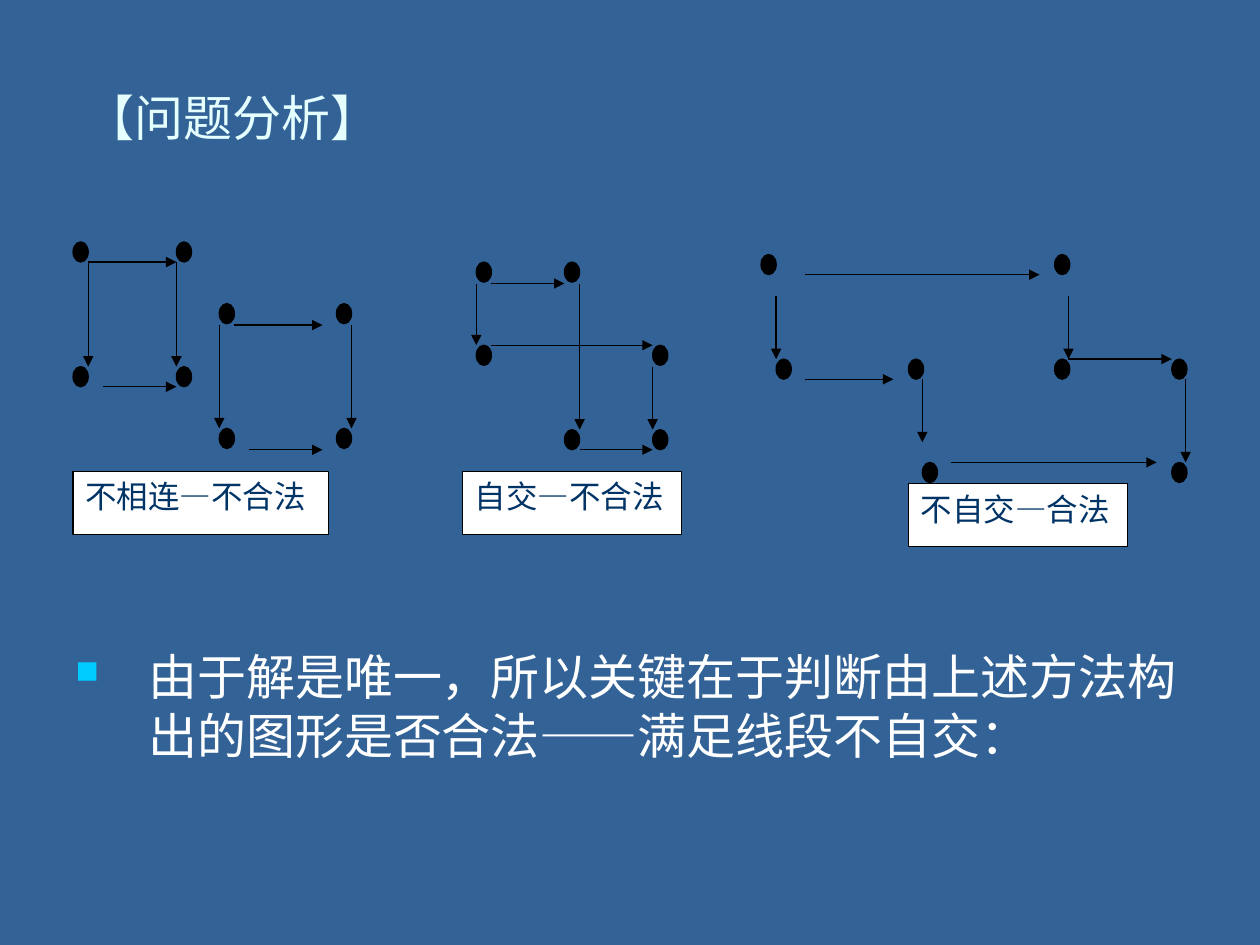
from lxml.etree import SubElement
from pptx import Presentation
from pptx.dml.color import RGBColor
from pptx.enum.shapes import MSO_CONNECTOR as Connector, MSO_SHAPE as Shape
from pptx.enum.text import MSO_ANCHOR as Anchor, PP_ALIGN as Align
from pptx.oxml.ns import qn
from pptx.util import Pt

SCALE = 9144  # EMU per px, at 100 px to the inch


def px(*lengths):
    return [length * SCALE for length in lengths]


def color(hex_code):
    return RGBColor.from_string(hex_code)


def write(shape, text, size=28, font="Cabin", fill="FFFFFF",
          align=Align.LEFT, anchor=Anchor.TOP, before=0):
    frame = shape.text_frame
    frame.word_wrap = True
    frame.vertical_anchor = anchor
    paragraph = frame.paragraphs[0]
    paragraph.alignment = align
    paragraph.space_before = Pt(before)
    run = paragraph.add_run()
    run.text = text
    run.font.size = Pt(size)
    run.font.name = font
    run.font.color.rgb = color(fill)
    return paragraph


class Board:
    """Style and current slide."""
    background, ink, paper = "326296", "000000", "FFFFFF"
    label_ink, title_ink, bullet_ink = "003366", "E5FFFF", "00CCFF"
    line_width = Pt(0.75)
    dot_size = (12, 16)

    def __init__(self, slide):
        self.slide = slide
        fill = slide.background.fill
        fill.solid()
        fill.fore_color.rgb = color(self.background)

    def outlined(self, group, kind, box, fill):
        shape = group.shapes.add_shape(kind, *px(*box))
        shape.shadow.inherit = False
        shape.fill.solid()
        shape.fill.fore_color.rgb = color(fill)
        shape.line.color.rgb = color(self.ink)
        shape.line.width = self.line_width
        return shape

    def dot(self, group, x, y):
        self.outlined(group, Shape.OVAL, (x, y, *self.dot_size), self.ink)

    def arrow(self, group, *ends):
        arrow = group.shapes.add_connector(Connector.STRAIGHT, *px(*ends))
        arrow.line.color.rgb = color(self.ink)
        arrow.line.width = self.line_width
        SubElement(arrow.line._get_or_add_ln(), qn("a:tailEnd"), type="triangle")
        SubElement(arrow._element.spPr, qn("a:effectLst"))

    def label(self, group, text, box):
        shape = self.outlined(group, Shape.RECTANGLE, box, self.paper)
        write(shape, text, size=18, font="Times New Roman",
              fill=self.label_ink, align=Align.JUSTIFY)

    def figure(self, dots, arrows, caption, caption_box):
        group = self.slide.shapes.add_group_shape()
        for position in dots:
            self.dot(group, *position)
        for ends in arrows:
            self.arrow(group, *ends)
        self.label(group, caption, caption_box)

    def text(self, text, box, **style):
        return write(self.slide.shapes.add_textbox(*px(*box)), text, **style)

    def bullet(self, text, box, indent=58):
        paragraph = self.text(text, box, before=7)
        props = paragraph._p.get_or_add_pPr()
        hang = indent * SCALE
        props.set("marL", str(hang))
        props.set("indent", str(-hang))
        bullet_color = SubElement(props, qn("a:buClr"))
        SubElement(bullet_color, qn("a:srgbClr"), val=self.bullet_ink)
        SubElement(props, qn("a:buSzPct"), val="65000")
        SubElement(props, qn("a:buChar"), char="■")


def main():
    deck = Presentation()
    deck.slide_width, deck.slide_height = px(1000, 750)
    board = Board(deck.slides.add_slide(deck.slide_layouts[6]))

    # Two separate squares
    board.figure(
        dots=[(x, y) for columns, rows in (((58, 140), (192, 291)),
                                           ((174, 267), (241, 340)))
              for y in rows for x in columns],
        arrows=[(70, 208, 140, 208), (70, 208, 70, 291),
                (140, 208, 140, 291), (82, 307, 140, 307),
                (186, 258, 256, 258), (174, 258, 174, 340),
                (279, 258, 279, 340), (198, 357, 256, 357)],
        caption="不相连—不合法", caption_box=(58, 374, 203, 50))

    # Outline with a step, closed and simple
    board.figure(
        dots=[(604, 202), (837, 202), (616, 285), (721, 285),
              (837, 285), (930, 285), (732, 367), (930, 367)],
        arrows=[(639, 218, 825, 218), (848, 235, 848, 285),
                (848, 285, 930, 285), (941, 301, 941, 367),
                (616, 235, 616, 285), (639, 301, 709, 301),
                (732, 301, 732, 351), (755, 367, 918, 367)],
        caption="不自交—合法", caption_box=(721, 384, 174, 50))

    # Outline that crosses itself
    board.figure(
        dots=[(378, 208), (448, 208), (378, 274),
              (518, 274), (448, 341), (518, 341)],
        arrows=[(390, 225, 448, 225), (378, 225, 378, 274),
                (390, 274, 518, 274), (460, 225, 460, 341),
                (460, 357, 518, 357), (518, 291, 518, 341)],
        caption="自交—不合法", caption_box=(367, 374, 174, 50))

    # Conclusion and title
    board.bullet("由于解是唯一，所以关键在于判断由上述方法构出的图形是否合法——满足线段不自交：",
                 (50, 508, 900, 126))
    board.text("【问题分析】", (50, 42, 269, 102), fill=board.title_ink,
               align=Align.CENTER, anchor=Anchor.MIDDLE)

    deck.save("out.pptx")


if __name__ == "__main__":
    main()
